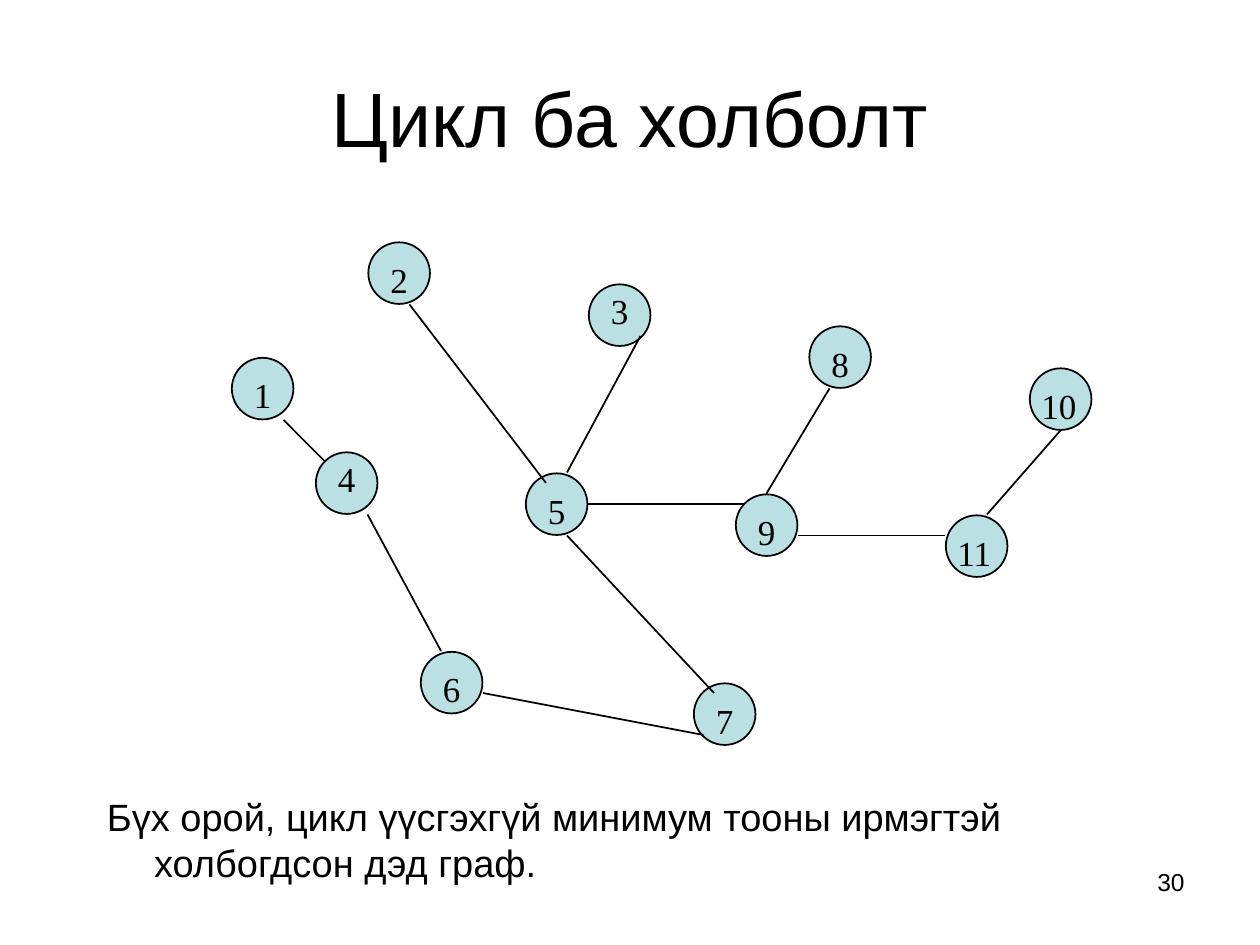
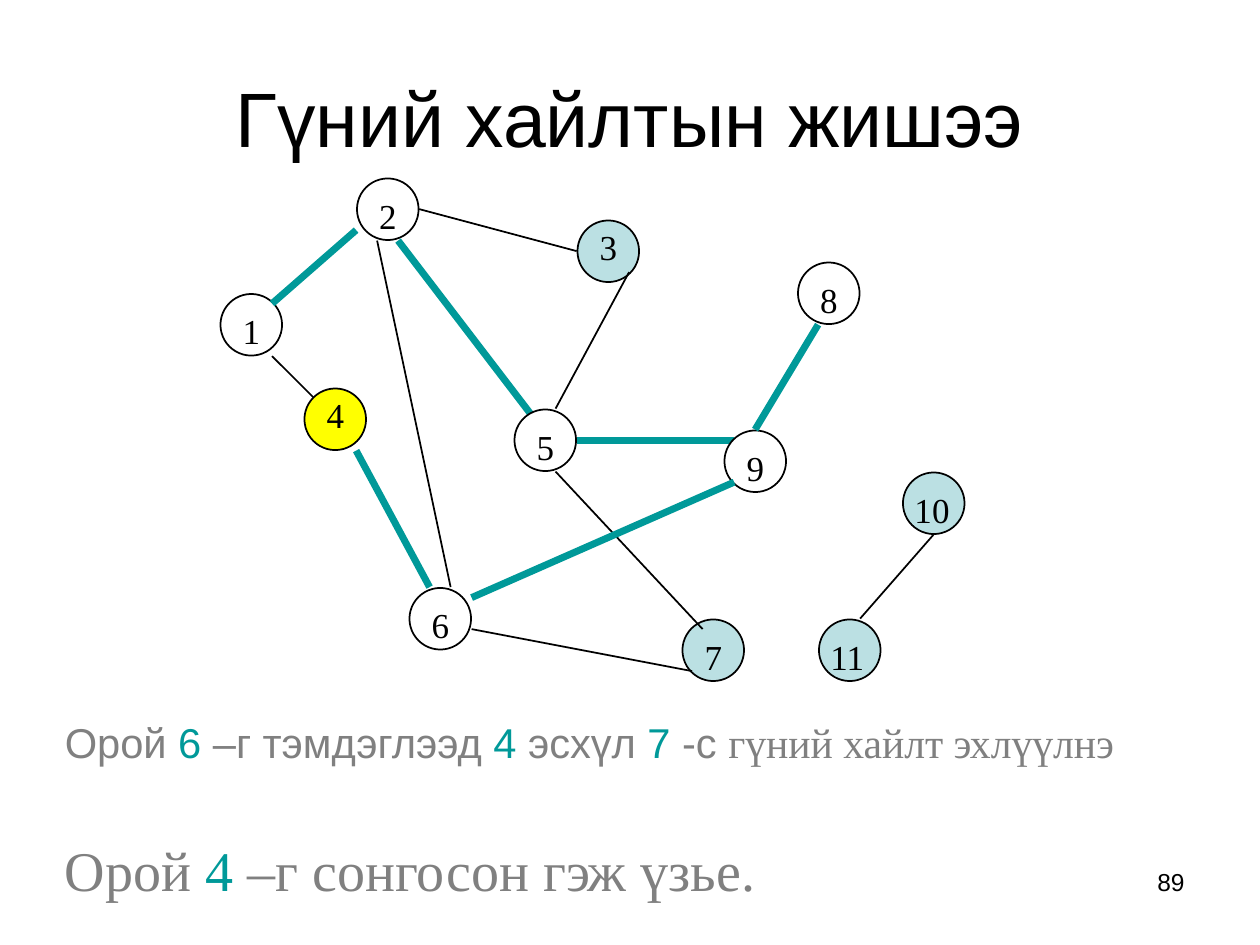
from lxml.etree import SubElement
from pptx import Presentation
from pptx.dml.color import RGBColor
from pptx.enum.shapes import MSO_CONNECTOR as Connector, MSO_SHAPE as Shape
from pptx.enum.text import MSO_ANCHOR as Anchor, PP_ALIGN as Align
from pptx.oxml.ns import qn
from pptx.util import Pt

BLACK = RGBColor(0x00, 0x00, 0x00)
WHITE = RGBColor(0xFF, 0xFF, 0xFF)
GREY = RGBColor(0x80, 0x80, 0x80)
TEAL = RGBColor(0x00, 0x99, 0x99)
PALE_BLUE = RGBColor(0xBB, 0xE0, 0xE3)
YELLOW = RGBColor(0xFF, 0xFF, 0x00)
SANS, SERIF = "Arial", "Times New Roman"

DIAMETER = 35.2
HANGING = 27

# Top left corner of each vertex, on a 6 point grid
VERTICES = {
    1: (132, 204), 2: (210, 138), 3: (336, 162), 4: (180, 258),
    5: (300, 270), 6: (240, 372), 7: (396, 390), 8: (462, 186),
    9: (420, 282), 10: (588, 210), 11: (540, 294),
}
RAISED_LABELS = {3, 4}

# Both ends of each edge
EDGES = {
    (1, 2): (162, 210, 210, 168), (1, 4): (162, 240, 186, 264),
    (2, 3): (246, 156, 336, 180), (2, 5): (234, 174, 312, 276),
    (2, 6): (222, 174, 264, 372), (3, 5): (366, 192, 324, 270),
    (4, 6): (210, 294, 252, 372), (5, 7): (324, 306, 408, 396),
    (5, 9): (336, 288, 426, 288), (6, 7): (276, 396, 402, 420),
    (6, 9): (276, 378, 426, 312), (8, 9): (474, 222, 438, 282),
    (9, 11): (456, 306, 540, 306), (10, 11): (606, 246, 564, 294),
}

# "steps" is the drawing order: a number is a vertex, a pair is an edge
PAGES = [
    {
        "title": "Цикл ба холболт",
        "number": "30",
        "shift": (0, 0),
        "detached": (0, 0),
        "fills": {},
        "path_edges": set(),
        "steps": [*VERTICES, (2, 5), (1, 4), (4, 6), (6, 7), (3, 5), (5, 7),
                  (8, 9), (10, 11), (5, 9), (9, 11)],
        "texts": [
            {"area": (54, 450, 612, 60), "size": 21.7, "hanging": HANGING,
             "spans": [("Бүх орой, цикл үүсгэхгүй минимум тооны ирмэгтэй "
                        "холбогдсон дэд граф.", BLACK, SANS)]},
        ],
    },
    {
        "title": "Гүний хайлтын жишээ",
        "number": "89",
        "shift": (-6.5, -36.5),
        "detached": (-66, 96),
        "fills": {**dict.fromkeys((1, 2, 5, 6, 8, 9), WHITE), 4: YELLOW},
        "path_edges": {(1, 2), (2, 5), (5, 9), (8, 9), (6, 9), (4, 6)},
        "steps": [3, 10, 11, 7, (1, 4), (6, 7), (3, 5), (5, 7), (10, 11),
                  (2, 3), (2, 6), 1, (1, 2), 2, (2, 5), 5, (5, 9), 9,
                  (8, 9), 8, (6, 9), 6, 4, (4, 6)],
        "texts": [
            {"area": (30, 414, 624, 30), "size": 23.8, "hanging": HANGING,
             "line_spacing": 0.7,
             "spans": [("Орой ", GREY, SANS), ("6 ", TEAL, SANS),
                       ("–г тэмдэглээд ", GREY, SANS), ("4 ", TEAL, SANS),
                       ("эсхүл ", GREY, SANS), ("7 ", TEAL, SANS),
                       ("-с ", GREY, SANS),
                       ("гүний хайлт эхлүүлнэ", GREY, SERIF)]},
            {"area": (30, 474, 558, 45), "size": 32,
             "spans": [("Орой ", GREY, SERIF), ("4 ", TEAL, SERIF),
                       ("–г сонгосон гэж үзье.", GREY, SERIF)]},
        ],
    },
]


def add_text(page, area, spans, size, align=Align.LEFT, anchor=Anchor.TOP,
             hanging=0, line_spacing=None):
    """Add a one-paragraph text box; spans are (text, colour, font name)."""
    box = page.shapes.add_textbox(*map(Pt, area))
    frame = box.text_frame
    frame.word_wrap = True
    frame.vertical_anchor = anchor
    para = frame.paragraphs[0]
    para.alignment = align
    if line_spacing:
        para.line_spacing = line_spacing
    if hanging:
        properties = para._p.get_or_add_pPr()
        properties.set("marL", str(Pt(hanging)))
        properties.set("indent", str(-Pt(hanging)))
    for text, colour, font_name in spans:
        span = para.add_run()
        span.text = text
        span.font.color.rgb = colour
        for name, value in {"name": font_name, "size": Pt(size)}.items():
            setattr(span.font, name, value)


deck = Presentation()
deck.slide_width, deck.slide_height = Pt(720), Pt(540)

for content in PAGES:
    page = deck.slides.add_slide(deck.slide_layouts[6])
    add_text(page, (36, 21.6, 648, 90), [(content["title"], BLACK, SANS)], 44,
             Align.CENTER, Anchor.MIDDLE)

    for step in content["steps"]:
        dx, dy = content["shift"]
        if step in (10, 11, (10, 11)):
            dx += content["detached"][0]
            dy += content["detached"][1]

        if step in EDGES:
            x1, y1, x2, y2 = EDGES[step]
            edge = page.shapes.add_connector(
                Connector.STRAIGHT, Pt(x1 + dx), Pt(y1 + dy), Pt(x2 + dx), Pt(y2 + dy))
            on_path = step in content["path_edges"]
            edge.line.color.rgb = TEAL if on_path else BLACK
            edge.line.width = Pt(4 if on_path else 1)
            SubElement(edge._element.spPr, qn("a:effectLst"))
            continue

        x, y = VERTICES[step]
        x, y = x + dx, y + dy
        vertex = page.shapes.add_shape(
            Shape.OVAL, Pt(x + 0.5), Pt(y + 0.5), Pt(DIAMETER), Pt(DIAMETER))
        vertex.shadow.inherit = False
        vertex.fill.solid()
        vertex.fill.fore_color.rgb = content["fills"].get(step, PALE_BLUE)
        vertex.line.color.rgb = BLACK
        vertex.line.width = Pt(1)

        left, width = (x + 6, 18) if step < 10 else (x, 36)
        top = y if step in RAISED_LABELS else y + 6
        add_text(page, (left, top, width, 31), [(str(step), BLACK, SERIF)], 20)

    for text in content["texts"]:
        add_text(page, **text)
    add_text(page, (516, 492, 168, 37.5), [(content["number"], BLACK, SANS)], 14,
             Align.RIGHT)

deck.save("out.pptx")
